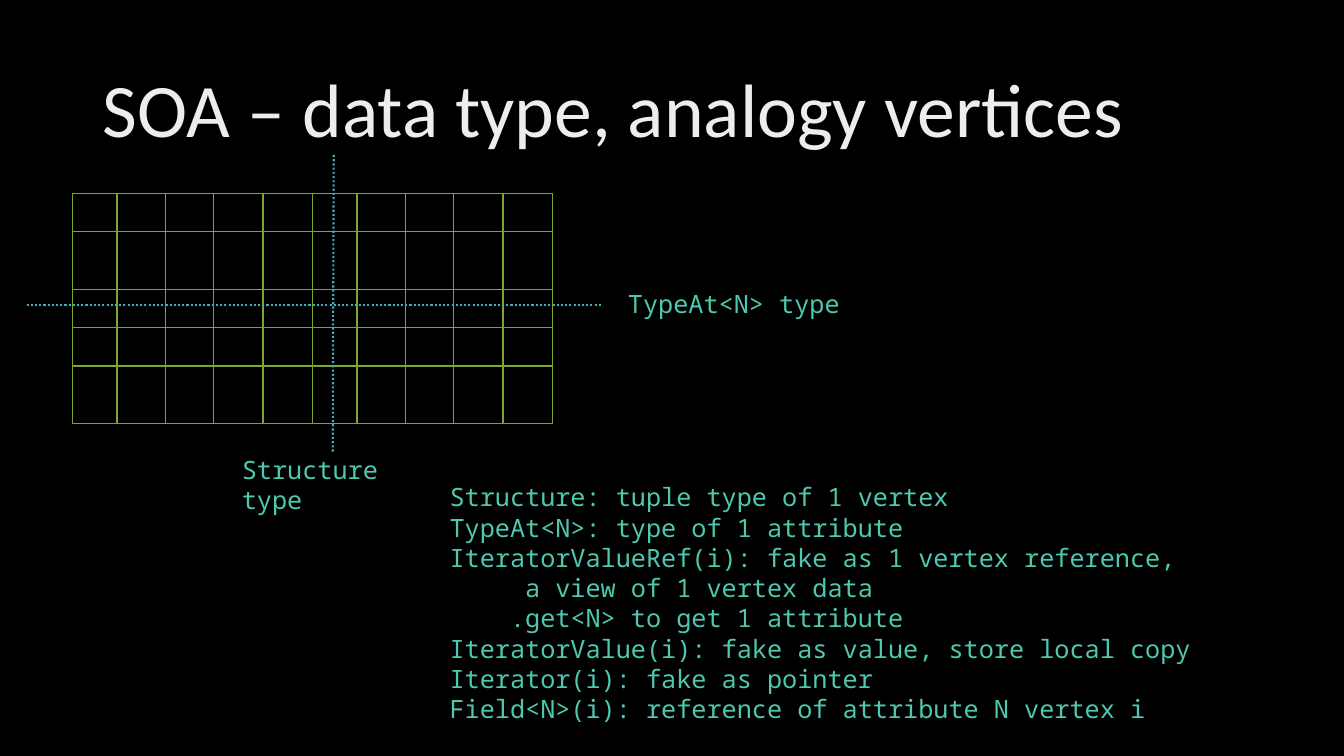
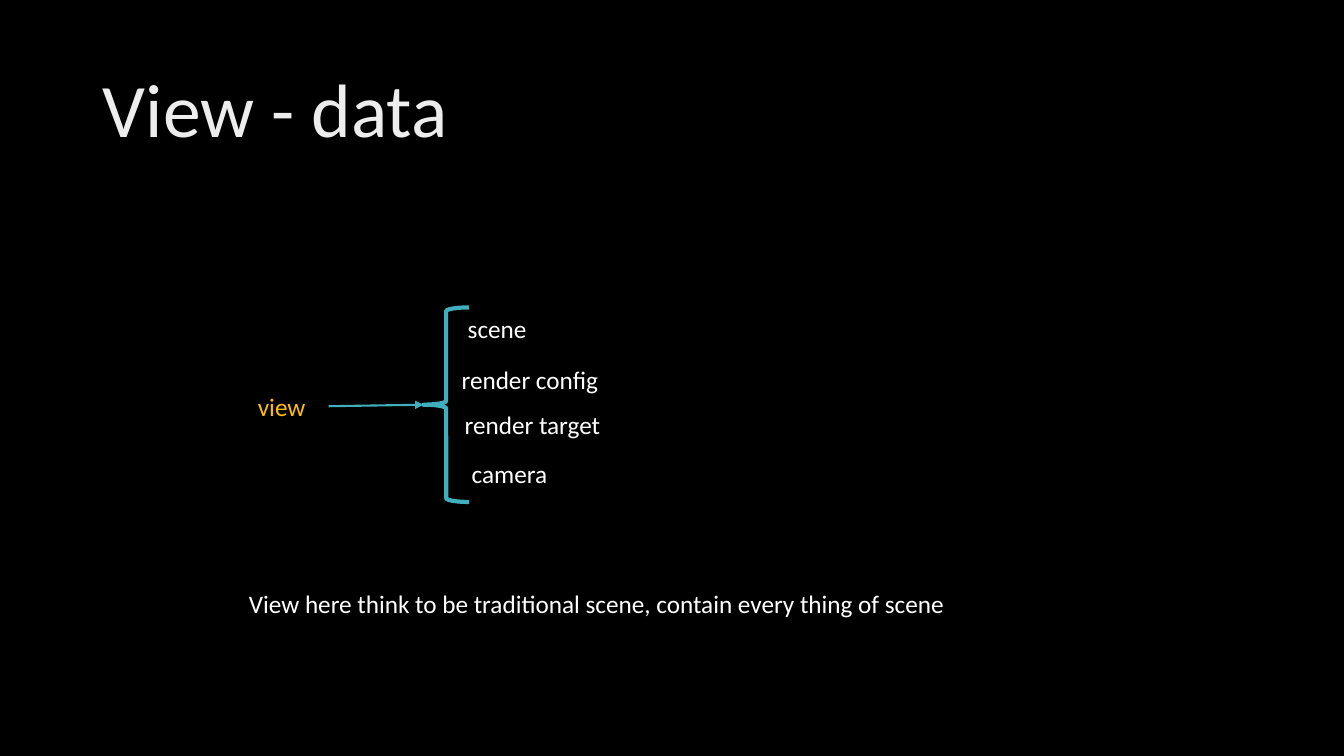
from itertools import accumulate

from lxml.etree import SubElement
from pptx import Presentation
from pptx.dml.color import RGBColor
from pptx.enum.dml import MSO_LINE
from pptx.enum.shapes import MSO_CONNECTOR, MSO_SHAPE
from pptx.enum.text import MSO_ANCHOR, MSO_AUTO_SIZE, PP_ALIGN
from pptx.oxml.ns import qn
from pptx.util import Inches, Pt

BLACK = RGBColor(0x00, 0x00, 0x00)
WHITE = RGBColor(0xFF, 0xFF, 0xFF)
TITLE = RGBColor(0xED, 0xED, 0xED)
GREEN = RGBColor(0x7D, 0xA6, 0x2C)
TEAL = RGBColor(0x41, 0xAE, 0xBD)
MINT = RGBColor(0x4E, 0xC9, 0xB0)
GOLD = RGBColor(0xFF, 0xC0, 0x00)
SANS, MONO = "Calibri", "Noto Sans Mono"
MONO_CHAR = 0.15  # inches per character at 18 pt

# Data grid: one column per vertex, one row per attribute
GRID_LEFT, GRID_TOP = 0.72, 1.92
COL_WIDTHS = [0.44, 0.48, 0.48, 0.49, 0.49] * 2
ROW_HEIGHTS = [0.38, 0.57, 0.38, 0.38, 0.57]
AXES = [((5.96, 3.03), (0.25, 3.03)), ((3.3, 4.48), (3.31, 1.54))]

# (text, indent in characters)
DEFINITIONS = [
    ("Structure: tuple type of 1 vertex", 0),
    ("TypeAt<N>: type of 1 attribute", 0),
    ("IteratorValueRef(i): fake as 1 vertex reference,", 0),
    ("a view of 1 vertex data", 5),
    (".get<N> to get 1 attribute", 4),
    ("IteratorValue(i): fake as value, store local copy", 0),
    ("Iterator(i): fake as pointer", 0),
    ("Field<N>(i): reference of attribute N vertex i", 0),
]
SOA_TEXTS = [
    (DEFINITIONS, (4.36, 4.73, 8.19, 2.52)),
    ([("Structure type", 0)], (2.3, 4.46, 2.2, 0.4)),
    ([("TypeAt<N> type", 0)], (6.13, 2.81, 2.56, 0.4)),
]
VIEW_TEXTS = [
    ("scene", (4.54, 3.06, 1.74, 0.4)),
    ("render config", (4.48, 3.57, 1.74, 0.4)),
    ("render target", (4.51, 4.01, 1.74, 0.4)),
    ("camera", (4.58, 4.5, 1.06, 0.4)),
    ("View here think to be traditional scene, contain every thing of scene",
     (2.37, 5.79, 8.01, 0.4)),
]


def inches(values):
    return [Inches(v) for v in values]


def write(tf, lines, size=18, font=SANS, color=WHITE, spacing=None):
    """Fill a text frame with (text, indent in characters) lines."""
    for i, (text, indent) in enumerate(lines):
        p = tf.paragraphs[0] if i == 0 else tf.add_paragraph()
        p.alignment = PP_ALIGN.LEFT
        p.line_spacing = spacing
        if indent:
            p._p.get_or_add_pPr().set("marL", str(Inches(indent * MONO_CHAR)))
        r = p.add_run()
        r.text = text
        r.font.size, r.font.name = Pt(size), font
        r.font.color.rgb = color


def add_text(s, lines, box, **style):
    shape = s.shapes.add_textbox(*inches(box))
    tf = shape.text_frame
    tf.word_wrap = True
    tf.auto_size = MSO_AUTO_SIZE.SHAPE_TO_FIT_TEXT
    write(tf, lines, **style)
    return shape


def add_outline(shapes, kind, box, color, width):
    shape = shapes.add_shape(kind, *inches(box))
    shape.shadow.inherit = False
    shape.fill.background()
    shape.line.color.rgb, shape.line.width = color, Pt(width)
    return shape


def add_line(s, start, end):
    line = s.shapes.add_connector(MSO_CONNECTOR.STRAIGHT, *inches(start + end))
    line.line.color.rgb, line.line.width = TEAL, Pt(1.5)
    SubElement(line._element.spPr, qn("a:effectLst"))
    return line


def set_up_layout(prs):
    """Give every slide the black background and the title position."""
    fill = prs.slide_master.background.fill
    fill.solid()
    fill.fore_color.rgb = BLACK
    layout = prs.slide_layouts.get_by_name("Title Only")
    title = layout.placeholders[0]
    title.left, title.top, title.width, title.height = inches((0.92, 0.4, 11.5, 1.45))
    title.text_frame.vertical_anchor = MSO_ANCHOR.MIDDLE
    title.text_frame.auto_size = MSO_AUTO_SIZE.NONE
    return layout


def new_slide(prs, layout, title):
    s = prs.slides.add_slide(layout)
    write(s.shapes.title.text_frame, [(title, 0)], size=54, color=TITLE, spacing=0.9)
    return s


def add_soa_slide(prs, layout):
    s = new_slide(prs, layout, "SOA – data type, analogy vertices")
    grid = s.shapes.add_group_shape()
    lefts = accumulate(COL_WIDTHS, initial=GRID_LEFT)
    columns = list(zip(lefts, COL_WIDTHS))
    for y, h in zip(accumulate(ROW_HEIGHTS, initial=GRID_TOP), ROW_HEIGHTS):
        for x, w in columns:
            add_outline(grid.shapes, MSO_SHAPE.RECTANGLE, (x, y, w, h), GREEN, 1)
    for start, end in AXES:
        add_line(s, start, end).line.dash_style = MSO_LINE.ROUND_DOT
    for lines, box in SOA_TEXTS:
        add_text(s, lines, box, font=MONO, color=MINT)


def add_view_slide(prs, layout):
    s = new_slide(prs, layout, "View - data")
    view = add_text(s, [("view", 0)], (2.46, 3.83, 0.8, 0.4), color=GOLD)
    brace = add_outline(s.shapes, MSO_SHAPE.LEFT_BRACE, (4.2, 3.05, 0.45, 1.93), TEAL, 3)
    arrow = add_line(s, (3.26, 4.03), (4.2, 4.02))
    arrow.begin_connect(view, 3)
    arrow.end_connect(brace, 1)
    SubElement(arrow.line._get_or_add_ln(), qn("a:tailEnd"), type="triangle")
    for text, box in VIEW_TEXTS:
        add_text(s, [(text, 0)], box)


def main():
    prs = Presentation()
    prs.slide_width, prs.slide_height = inches((13.33, 7.5))
    layout = set_up_layout(prs)
    add_soa_slide(prs, layout)
    add_view_slide(prs, layout)
    prs.save("out.pptx")


if __name__ == "__main__":
    main()
